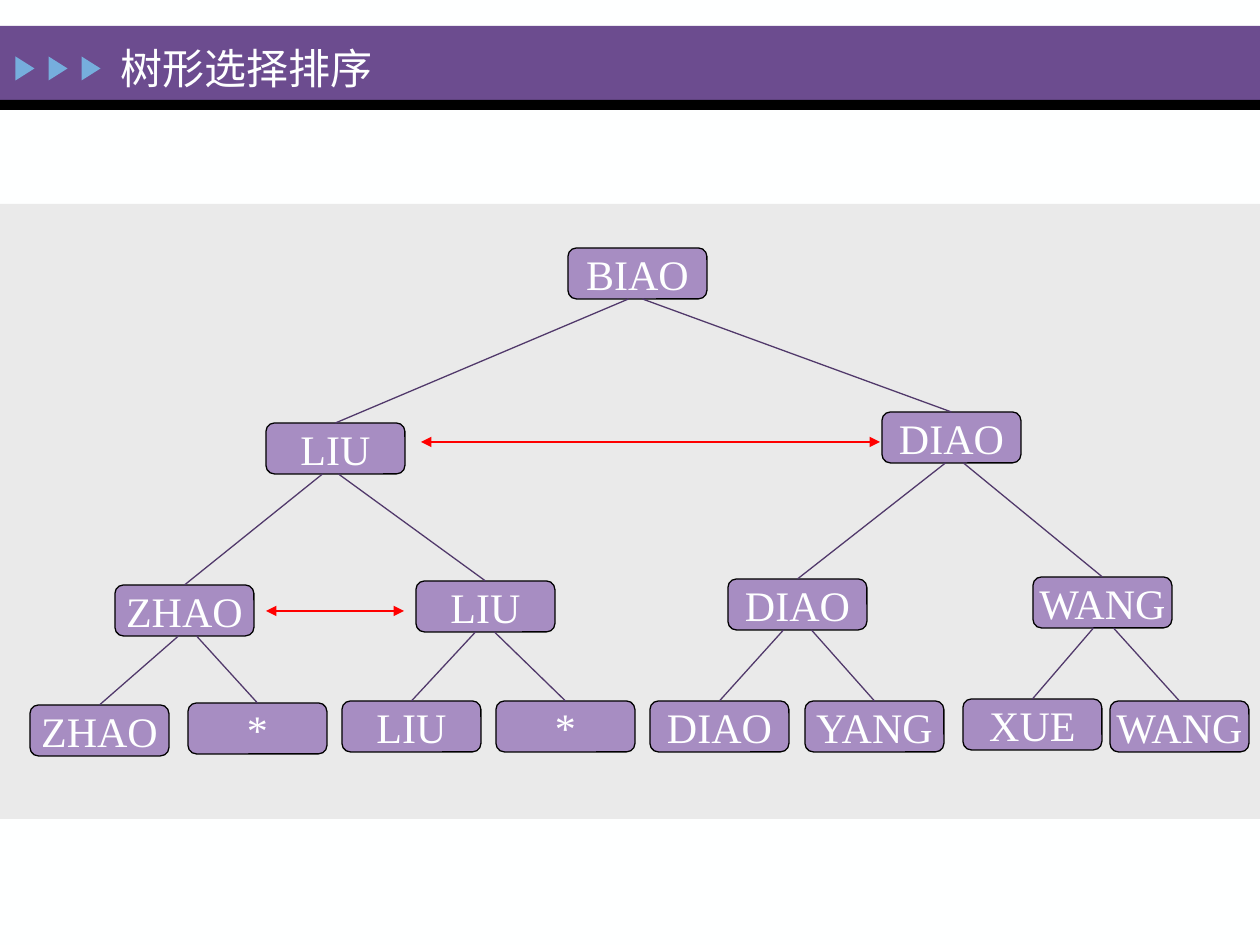
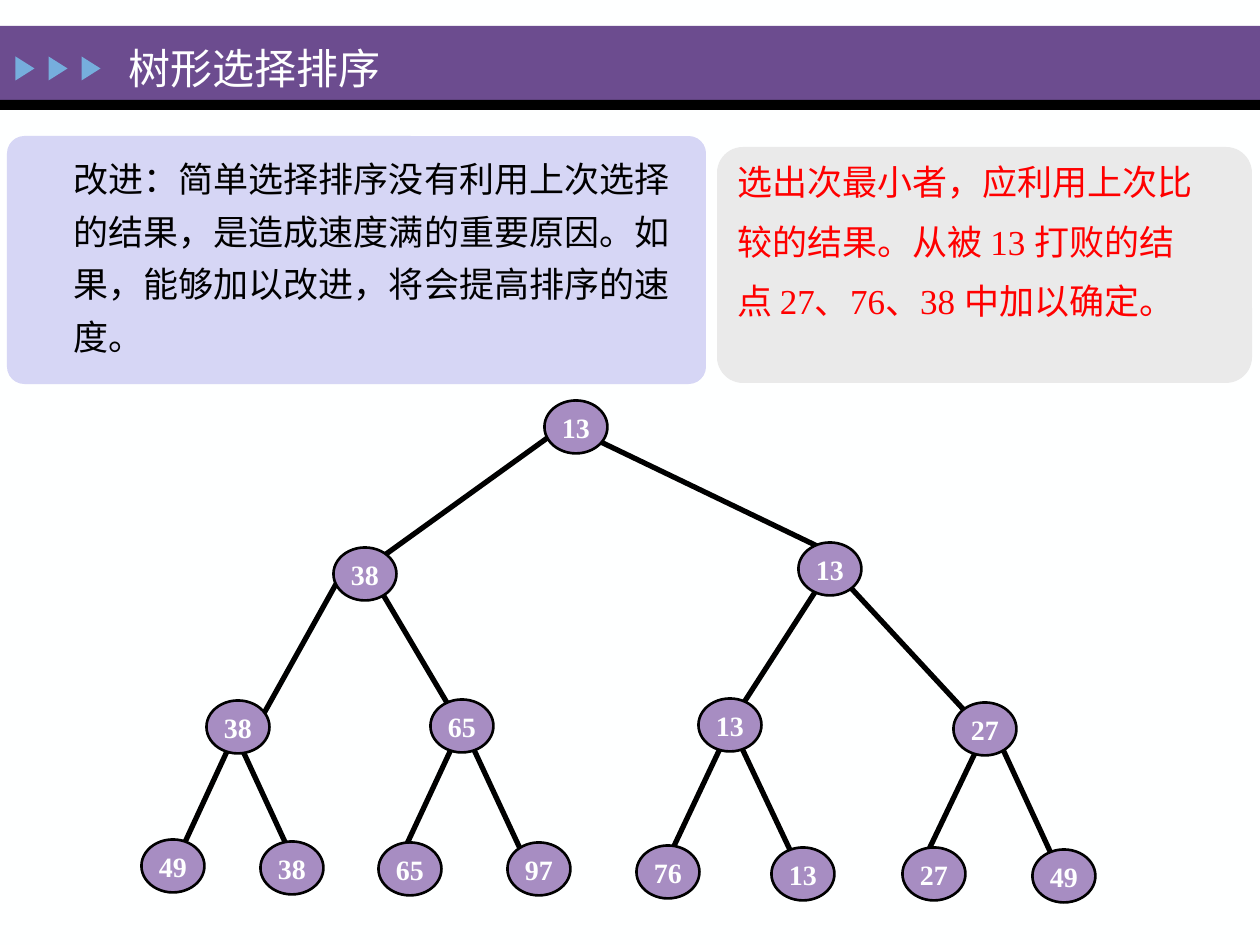
"""Builds two slides on tournament tree selection sort."""
from dataclasses import dataclass

from lxml import etree
from pptx import Presentation
from pptx import util as u
from pptx.dml.color import RGBColor
from pptx.enum import shapes, text
from pptx.oxml.ns import qn

EMU_PER_PX = 914400 // 126


@dataclass(frozen=True)
class Theme:
    """Colours, font and type sizes of both slides."""
    paper: str = "FEFFFF"
    band: str = "6C4C8F"
    ink: str = "000000"
    marker: str = "76AEDD"
    panel: str = "EAEAEA"
    lavender: str = "D6D6F5"
    node: str = "A78DC2"
    branch: str = "51396B"
    accent: str = "FF0000"
    font: str = "Times New Roman"
    title_size: int = 24
    name_size: int = 24
    body_size: int = 20
    score_size: int = 16


THEME = Theme()
SLIDE_W, SLIDE_H = 1260, 945
TITLE = "树形选择排序"

NAME_BOX = (0, 204, 1260, 615)
NAME_W, NAME_H = 139, 51
NAMES = [
    ("BIAO", 568, 44),
    ("LIU", 266, 219), ("DIAO", 882, 208),
    ("ZHAO", 115, 381), ("LIU", 416, 377), ("DIAO", 728, 375), ("WANG", 1033, 373),
    ("ZHAO", 30, 501), ("*", 188, 499), ("LIU", 342, 497), ("*", 496, 497),
    ("DIAO", 650, 497), ("YANG", 805, 497), ("XUE", 963, 495), ("WANG", 1110, 497),
]
NAME_LEAVES = [-9, 5, -13, 3, -6, 12, -6, 12, -10, 9, -14, 14, -9, 11]
MATCHES = [(421, 880, 238), (266, 404, 407)]

SCORE_BOX = (141, 400, 955, 503)
SCORE_W, SCORE_H = 63, 53
SCORES = [
    ("13", 435, 27),
    ("38", 224, 174), ("13", 689, 169),
    ("38", 97, 327), ("65", 321, 326), ("13", 589, 325), ("27", 844, 329),
    ("49", 32, 466), ("38", 151, 468), ("65", 269, 469), ("97", 398, 469),
    ("76", 527, 472), ("13", 662, 474), ("27", 793, 474), ("49", 923, 476),
]
SCORE_SHIFTS = [
    ((-12, -1), (-8, 1)), ((4, 5), (10, -12)),
    ((-15, -15), (10, 15)), ((10, 7), (-6, -8)),
    ((-2, 3), (-5, 7)), ((9, 6), (4, 8)),
    ((4, -8), (-5, 13)), ((-8, -4), (5, 0)),
    ((6, -13), (-18, 7)), ((7, 13), (-2, 16)),
    ((4, -6), (-10, 8)), ((1, 0), (-4, -5)),
    ((3, -3), (-23, 13)), ((9, 1), (-3, -1)),
]

REASON = ["改进：简单选择排序没有利用上次选择的结果，是造成速度满的重要原因。"
          "如果，能够加以改进，将会提高排序的速度。"]
REMEDY = ["选出次最小者，应利用上次比", "较的结果。从被 13 打败的结", "点 27、76、38 中加以确定。"]


def px(length):
    """Turn px into EMU."""
    return u.Emu(round(length * EMU_PER_PX))


def parent_of(index):
    """Return the index of a node's parent in level order."""
    return (index - 1) // 2


def add_block(slide, kind, box, fill, outline=0):
    """Add a filled preset shape, with an ink outline if a width is given."""
    block = slide.shapes.add_shape(kind, *map(px, box))
    block.shadow.inherit = False
    block.fill.solid()
    block.fill.fore_color.rgb = RGBColor.from_string(fill)
    if outline:
        block.line.color.rgb = RGBColor.from_string(THEME.ink)
        block.line.width = u.Pt(outline)
    else:
        block.line.fill.background()
    return block


def add_line(slide, start, end, color, width):
    """Add a straight connector without shadow."""
    line = slide.shapes.add_connector(
        shapes.MSO_CONNECTOR.STRAIGHT, *map(px, (*start, *end)))
    line.line.color.rgb = RGBColor.from_string(color)
    line.line.width = u.Pt(width)
    etree.SubElement(line._element.spPr, qn("a:effectLst"))
    return line


def write(paragraph, words, size, color, bold=False):
    """Add one styled run to a paragraph."""
    run = paragraph.add_run()
    run.text = words
    run.font.name = THEME.font
    run.font.size = u.Pt(size)
    run.font.bold = bold
    run.font.color.rgb = RGBColor.from_string(color)


def add_label(node, words, size, bold=False):
    """Centre a label in a tree node."""
    frame = node.text_frame
    frame.word_wrap = False
    frame.vertical_anchor = text.MSO_ANCHOR.MIDDLE
    frame.margin_left = frame.margin_right = 0
    frame.margin_top = frame.margin_bottom = 0
    label = frame.paragraphs[0]
    label.alignment = text.PP_ALIGN.CENTER
    write(label, words, size, THEME.paper, bold)


def add_header(slide, title_left):
    """Draw the title band with its markers and title."""
    slide.background.fill.solid()
    slide.background.fill.fore_color.rgb = RGBColor.from_string(THEME.paper)
    rectangle = shapes.MSO_SHAPE.RECTANGLE
    add_block(slide, rectangle, (0, 26, SLIDE_W, 74), THEME.band)
    add_block(slide, rectangle, (0, 100, SLIDE_W, 10), THEME.ink)
    for place in range(3):
        marker = add_block(slide, shapes.MSO_SHAPE.ISOSCELES_TRIANGLE,
                           (13 + 33 * place, 59, 24, 19), THEME.marker)
        marker.rotation = 90
    title = slide.shapes.add_textbox(*map(px, (title_left, 24, 472, 73)))
    title.text_frame.word_wrap = True
    heading = title.text_frame.paragraphs[0]
    heading.line_spacing = 1.25
    write(heading, TITLE, THEME.title_size, THEME.paper)


def add_name_tree(slide, box):
    """Draw the tree of names, its branches and its matches on a panel."""
    left, top = box[:2]
    add_block(slide, shapes.MSO_SHAPE.RECTANGLE, box, THEME.panel)
    nodes = []
    for name, x, y in NAMES:
        node = add_block(slide, shapes.MSO_SHAPE.ROUNDED_RECTANGLE,
                         (left + x, top + y, NAME_W, NAME_H), THEME.node, 0.75)
        add_label(node, name, THEME.name_size)
        nodes.append(node)
    for child, leave in enumerate(NAME_LEAVES, start=1):
        _, parent_x, parent_y = NAMES[parent_of(child)]
        _, x, y = NAMES[child]
        start = (left + parent_x + NAME_W / 2 + leave, top + parent_y + NAME_H)
        branch = add_line(slide, start, (left + x + NAME_W / 2, top + y),
                          THEME.branch, 0.75)
        branch.end_connect(nodes[child], 0)
    for match_left, match_right, y in MATCHES:
        match = add_line(slide, (left + match_left, top + y),
                         (left + match_right, top + y), THEME.accent, 0.75)
        for tip in ("a:headEnd", "a:tailEnd"):
            etree.SubElement(match.line._get_or_add_ln(), qn(tip), type="triangle")


def add_score_tree(slide, box):
    """Draw the tree of numbers, branches first."""
    left, top = box[:2]
    for child, (leave, arrive) in enumerate(SCORE_SHIFTS, start=1):
        ends = []
        for index, (dx, dy) in ((parent_of(child), leave), (child, arrive)):
            _, x, y = SCORES[index]
            ends.append((left + x + dx, top + y + dy))
        add_line(slide, *ends, THEME.ink, 3)
    for score, x, y in SCORES:
        spot = (left + x - SCORE_W / 2, top + y - SCORE_H / 2, SCORE_W, SCORE_H)
        node = add_block(slide, shapes.MSO_SHAPE.OVAL, spot, THEME.node, 1.5)
        add_label(node, score, THEME.score_size, bold=True)


def add_note(slide, box, corner, fill, color, lines, spacing=1.0, indent=0):
    """Draw a rounded panel of body text."""
    note = add_block(slide, shapes.MSO_SHAPE.ROUNDED_RECTANGLE, box, fill)
    note.adjustments[0] = corner
    frame = note.text_frame
    frame.word_wrap = True
    frame.vertical_anchor = text.MSO_ANCHOR.TOP
    for place, words in enumerate(lines):
        paragraph = frame.add_paragraph() if place else frame.paragraphs[0]
        paragraph.alignment = text.PP_ALIGN.LEFT
        paragraph.line_spacing = spacing
        if place:
            paragraph.space_before = u.Pt(THEME.body_size / 2)
        if indent:
            paragraph._p.get_or_add_pPr().set("marL", str(px(indent)))
        write(paragraph, words, THEME.body_size, color)


def build_name_slide(slide):
    """Build the slide with the tournament of names."""
    add_header(slide, 108)
    add_name_tree(slide, NAME_BOX)


def build_score_slide(slide):
    """Build the slide with the improvement and the tree of numbers."""
    add_header(slide, 116)
    add_score_tree(slide, SCORE_BOX)
    add_note(slide, (7, 136, 699, 248), 0.07, THEME.lavender, THEME.ink,
             REASON, spacing=1.25, indent=49)
    add_note(slide, (717, 147, 535, 236), 0.11, THEME.panel, THEME.accent, REMEDY)


def main():
    """Build and save the slides."""
    deck = Presentation()
    deck.slide_width, deck.slide_height = px(SLIDE_W), px(SLIDE_H)
    for build in (build_name_slide, build_score_slide):
        build(deck.slides.add_slide(deck.slide_layouts[6]))
    deck.save("out.pptx")


if __name__ == "__main__":
    main()
